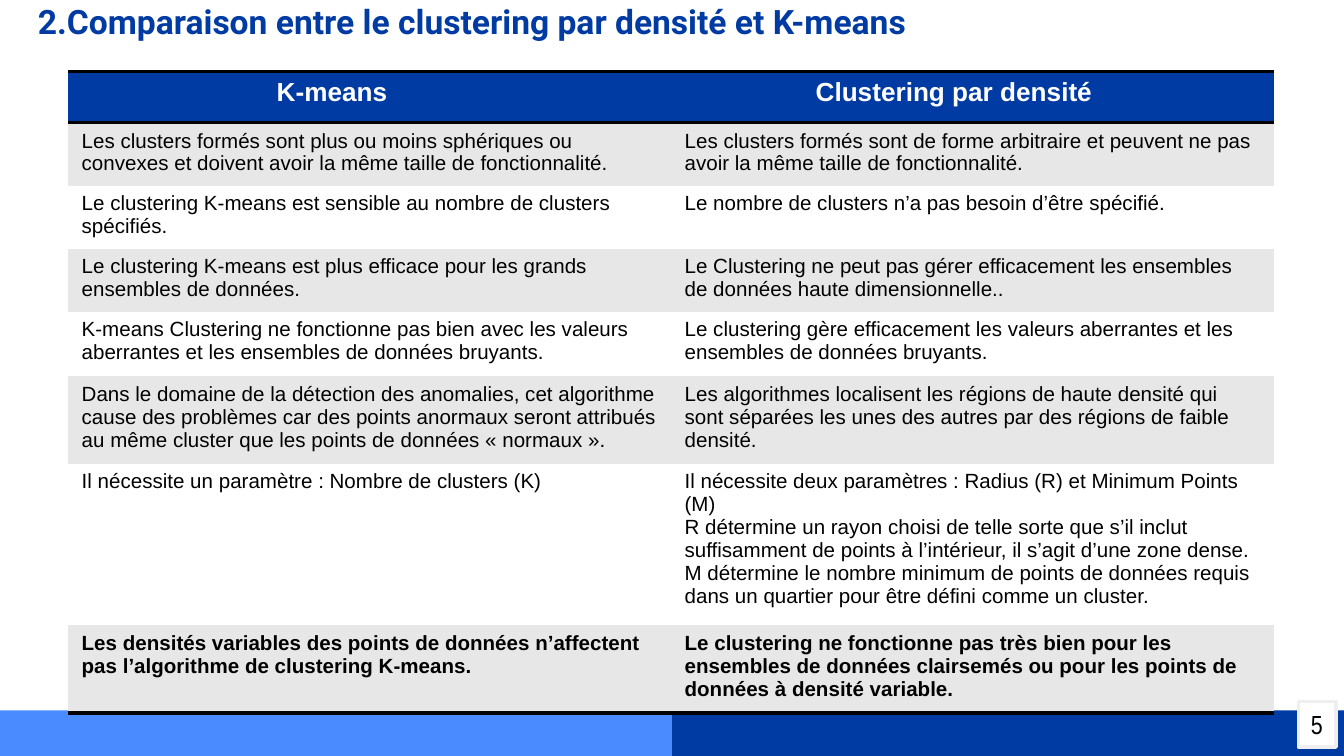
from lxml import etree
from pptx import Presentation
from pptx.dml.color import RGBColor
from pptx.enum.shapes import MSO_SHAPE
from pptx.enum.text import MSO_ANCHOR, PP_ALIGN
from pptx.oxml.ns import qn
from pptx.util import Cm, Pt

RECT = MSO_SHAPE.RECTANGLE
LEFT, CENTER, RIGHT = PP_ALIGN.LEFT, PP_ALIGN.CENTER, PP_ALIGN.RIGHT
TOP, MIDDLE = MSO_ANCHOR.TOP, MSO_ANCHOR.MIDDLE

NAVY = RGBColor(0x00, 0x3B, 0xA3)
BLUE = RGBColor(0x4A, 0x8C, 0xFF)
GREY = RGBColor(0xE7, 0xE7, 0xE7)
PALE = RGBColor(0xEF, 0xEF, 0xEF)
WHITE = RGBColor(0xFF, 0xFF, 0xFF)
BLACK = RGBColor(0x00, 0x00, 0x00)

PLAIN_STYLE = "{2D5ABB26-0587-4C30-8999-92F81FD0307C}"
WIDTH, HEIGHT = 25.4, 14.29
HEADS = [("K-means", 3.94), ("Clustering par densité", 2.73)]  # name, left margin
HEAD_H = 0.97
ROWS = [  # height, K-means, density
    (1.19, "Les clusters formés sont plus ou moins sphériques ou convexes et doivent avoir la même taille de fonctionnalité.",
     "Les clusters formés sont de forme arbitraire et peuvent ne pas avoir la même taille de fonctionnalité."),
    (1.19, "Le clustering K-means est sensible au nombre de clusters spécifiés.",
     "Le nombre de clusters n’a pas besoin d’être spécifié."),
    (1.19, "Le clustering K-means est plus efficace pour les grands ensembles de données.",
     "Le Clustering ne peut pas gérer efficacement les ensembles de données haute dimensionnelle.."),
    (1.22, "K-means Clustering ne fonctionne pas bien avec les valeurs aberrantes et les ensembles de données bruyants.",
     "Le clustering gère efficacement les valeurs aberrantes et les ensembles de données bruyants."),
    (1.65, "Dans le domaine de la détection des anomalies, cet algorithme cause des problèmes car des points anormaux seront attribués au même cluster que les points de données « normaux ».",
     "Les algorithmes localisent les régions de haute densité qui sont séparées les unes des autres par des régions de faible densité."),
    (3.06, "Il nécessite un paramètre : Nombre de clusters (K)",
     "Il nécessite deux paramètres : Radius (R) et Minimum Points (M)\n"
     "R détermine un rayon choisi de telle sorte que s’il inclut suffisamment de points à l’intérieur, il s’agit d’une zone dense.\n"
     "M détermine le nombre minimum de points de données requis dans un quartier pour être défini comme un cluster."),
    (1.63, "Les densités variables des points de données n’affectent pas l’algorithme de clustering K-means.",
     "Le clustering ne fonctionne pas très bien pour les ensembles de données clairsemés ou pour les points de données à densité variable."),
]


def put_text(frame, text, size=11, font="Arial", color=BLACK, bold=False, align=LEFT):
    frame.text = text
    for para in frame.paragraphs:
        para.alignment = align
        for run in para.runs:
            run.font.size = Pt(size)
            run.font.name = font
            run.font.bold = bold
            run.font.color.rgb = color


def add_box(slide, x, y, w, h, fill, line=None):
    box = slide.shapes.add_shape(RECT, Cm(x), Cm(y), Cm(w), Cm(h))
    box.shadow.inherit = False
    box.fill.solid()
    box.fill.fore_color.rgb = fill
    if line is None:
        box.line.fill.background()
    else:
        box.line.color.rgb = line
        box.line.width = Pt(2)
    return box


def add_title(slide, text):
    box = slide.shapes.add_textbox(Cm(0.3), Cm(-0.23), Cm(17.25), Cm(1.6))
    frame = box.text_frame
    frame.word_wrap = True
    frame.vertical_anchor = TOP
    frame.margin_top = frame.margin_bottom = Cm(0.25)
    put_text(frame, text, size=18, font="Roboto", color=NAVY, bold=True, align=CENTER)


def add_number(slide, text):
    box = add_box(slide, 24.54, 13.26, 0.71, 0.86, WHITE, PALE)
    frame = box.text_frame
    frame.word_wrap = False
    frame.vertical_anchor = MIDDLE
    put_text(frame, text, size=14, font="Arial Narrow", align=RIGHT)


def rule_cell(cell, *sides):
    """Draw black borders on the given sides, named in schema order."""
    props = cell._tc.get_or_add_tcPr()
    for spot, side in enumerate(sides):
        line = etree.Element(qn("a:" + side), w=str(Pt(2)))
        fill = etree.SubElement(line, qn("a:solidFill"))
        etree.SubElement(fill, qn("a:srgbClr"), val=str(BLACK))
        props.insert(spot, line)


def fill_cell(cell, text, fill, **style):
    cell.fill.solid()
    cell.fill.fore_color.rgb = fill
    put_text(cell.text_frame, text, **style)


def add_grid(slide):
    heights = [HEAD_H] + [row[0] for row in ROWS]
    shape = slide.shapes.add_table(len(heights), len(HEADS), Cm(1.29), Cm(1.35),
                                   Cm(22.79), Cm(sum(heights)))
    table = shape.table
    table._tbl.tblPr.find(qn("a:tableStyleId")).text = PLAIN_STYLE
    table.horz_banding = False
    for row, height in zip(table.rows, heights):
        row.height = Cm(height)
    for col, (name, margin) in enumerate(HEADS):
        cell = table.cell(0, col)
        cell.margin_left = Cm(margin)
        fill_cell(cell, name, NAVY, size=14, color=WHITE, bold=True)
        rule_cell(cell, "lnT", "lnB")
    last = len(ROWS)
    for num, (_, *texts) in enumerate(ROWS, 1):
        for col, text in enumerate(texts):
            cell = table.cell(num, col)
            fill_cell(cell, text, GREY if num % 2 else WHITE, bold=num == last)
            if num == last:
                rule_cell(cell, "lnB")


def main():
    deck = Presentation()
    deck.slide_width, deck.slide_height = Cm(WIDTH), Cm(HEIGHT)
    slide = deck.slides.add_slide(deck.slide_layouts[6])
    half = WIDTH / 2
    for x, color in ((half, NAVY), (0, BLUE)):
        add_box(slide, x, 13.43, half, 0.86, color)
    add_title(slide, "2.Comparaison entre le clustering par densité et K-means")
    add_number(slide, "5")
    add_grid(slide)
    deck.save("out.pptx")


if __name__ == "__main__":
    main()
